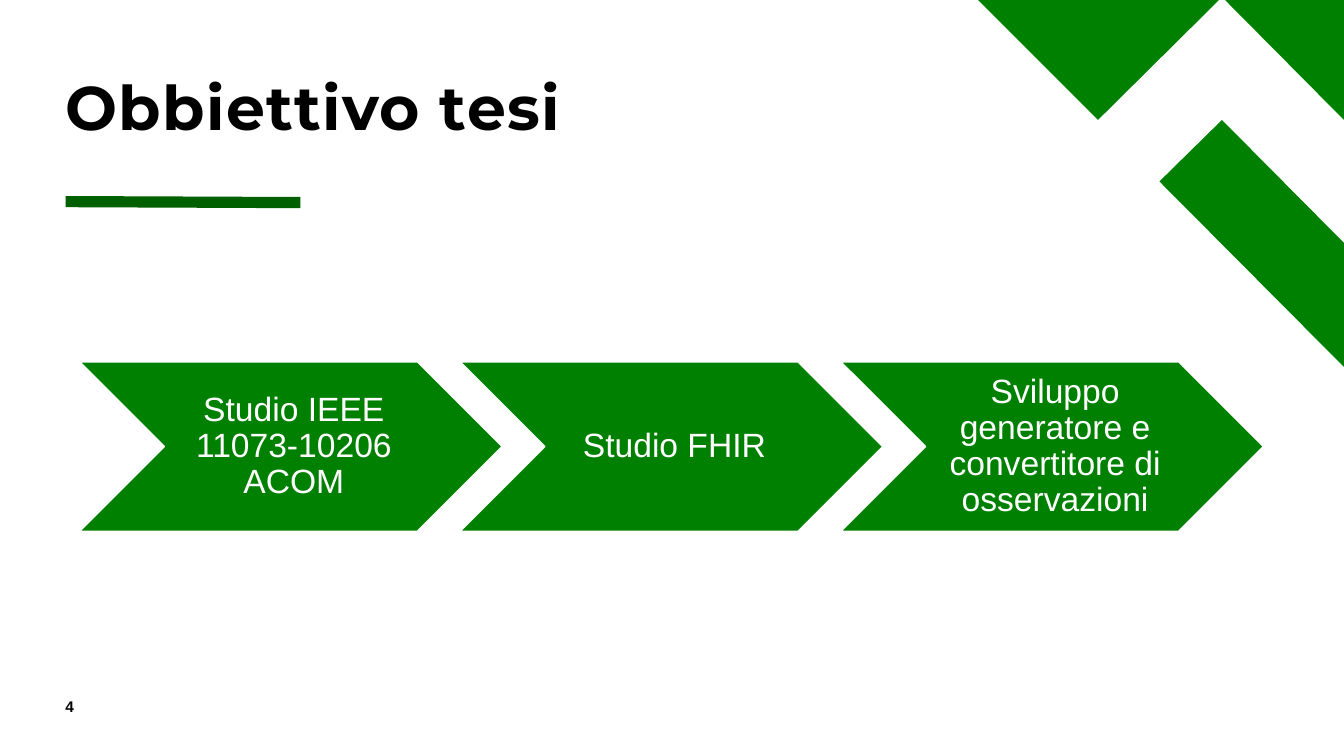
from dataclasses import dataclass

from lxml import etree
from pptx import Presentation
from pptx.dml import color
from pptx.enum import shapes, text
from pptx.oxml import ns
from pptx.util import Inches, Pt

TITLE = "Obbiettivo tesi"
STEPS = [
    "Studio IEEE 11073-10206 ACOM",
    "Studio FHIR",
    "Sviluppo generatore e convertitore di osservazioni",
]
PAGE = "4"
DECOR = [
    [(13.33, 3.64), (13.33, 2.41), (12.12, 1.19), (11.5, 1.8)],
    [(13.33, 1.19), (13.33, 0), (12.15, 0)],
    [(9.7, 0), (10.89, 1.19), (12.09, 0)],
]


@dataclass(frozen=True)
class Theme:
    green: str = "008000"
    dark: str = "006000"
    white: str = "FFFFFF"
    black: str = "000000"
    head: str = "Montserrat"
    body: str = "Arial"
    big: int = 44
    mid: int = 24
    small: int = 11


THEME = Theme()
LEFT = 0.65
STEP_X, STEP_Y, STEP_W, STEP_H, PITCH = 0.79, 3.59, 4.19, 1.68, 3.775


def rgb(code):
    return color.RGBColor.from_string(code)


def paint(shape, code):
    shape.shadow.inherit = False
    shape.fill.solid()
    shape.fill.fore_color.rgb = rgb(code)
    shape.line.fill.background()


def write(shape, words, font, size, code, bold=False, pads=(0, 0, 0, 0)):
    frame = shape.text_frame
    frame.text = words
    frame.word_wrap = True
    frame.auto_size = text.MSO_AUTO_SIZE.NONE
    frame.margin_left, frame.margin_top, frame.margin_right, frame.margin_bottom = map(Inches, pads)
    para = frame.paragraphs[0]
    face = para.runs[0].font
    face.name, face.size, face.bold = font, Pt(size), bold
    face.color.rgb = rgb(code)
    return para


def add_decor(slide):
    for points in DECOR:
        start, *rest = [(Inches(x), Inches(y)) for x, y in points]
        form = slide.shapes.build_freeform(*start)
        form.add_line_segments(rest, close=True)
        paint(form.convert_to_shape(), THEME.green)


def add_title(slide):
    title = slide.shapes.title
    title.left, title.top, title.width, title.height = map(Inches, (LEFT, 0.3, 10.69, 1.63))
    para = write(title, TITLE, THEME.head, THEME.big, THEME.black, True)
    title.text_frame.vertical_anchor = text.MSO_ANCHOR.MIDDLE
    para.alignment = text.PP_ALIGN.LEFT
    para.line_spacing = 0.8
    para.runs[0].font._element.set("spc", "100")

    ends = map(Inches, (LEFT, 2, 2.98, 2.01))
    rule = slide.shapes.add_connector(shapes.MSO_CONNECTOR.STRAIGHT, *ends)
    rule.line.color.rgb = rgb(THEME.dark)
    rule.line.width = Pt(8)
    etree.SubElement(rule._element.spPr, ns.qn("a:effectLst"))


def add_steps(slide):
    for i, words in enumerate(STEPS):
        box = map(Inches, (STEP_X + i * PITCH, STEP_Y, STEP_W, STEP_H))
        step = slide.shapes.add_shape(shapes.MSO_SHAPE.CHEVRON, *box)
        paint(step, THEME.green)
        step.line.color.rgb = rgb(THEME.white)
        step.line.width = Pt(1)
        pads = (0.1, 0.04, 0.04, 0.04)
        para = write(step, words, THEME.body, THEME.mid, THEME.white, pads=pads)
        step.text_frame.vertical_anchor = text.MSO_ANCHOR.MIDDLE
        para.alignment = text.PP_ALIGN.CENTER
        para.line_spacing = 0.9


def main():
    deck = Presentation()
    deck.slide_width, deck.slide_height = Inches(13.33), Inches(7.5)
    slide = deck.slides.add_slide(deck.slide_layouts[5])
    add_decor(slide)
    add_title(slide)
    add_steps(slide)
    page = slide.shapes.add_textbox(*map(Inches, (LEFT, 6.92, 0.57, 0.27)))
    write(page, PAGE, THEME.body, THEME.small, THEME.black, True)
    deck.save("out.pptx")


if __name__ == "__main__":
    main()
